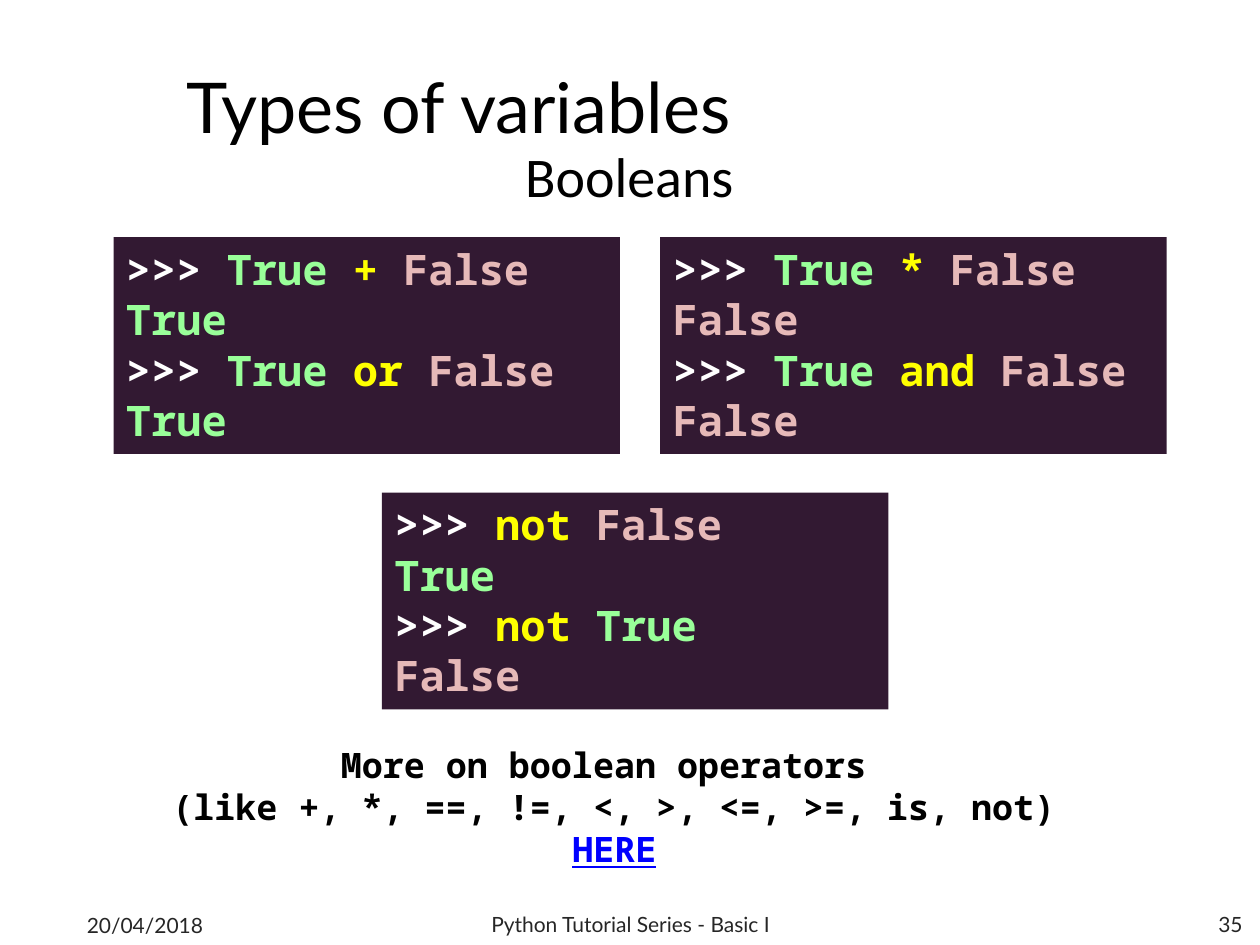
from dataclasses import dataclass

import pptx
import pptx.dml.color
import pptx.enum.shapes
import pptx.enum.text
import pptx.util

Cm = pptx.util.Cm
ALIGN = pptx.enum.text.PP_ALIGN
ANCHOR = pptx.enum.text.MSO_ANCHOR

COLORS = {
    "console": "321932",
    "prompt": "FFFFFF",
    "true": "99FF99",
    "false": "E6B9B8",
    "operator": "FFFF00",
    "text": "000000",
    "footer": "262626",
    "link": "0000FF",
}
TOKEN_COLORS = {">>>": "prompt", "True": "true", "False": "false"}
CODE_FONT = "Noto Sans Mono"
CONSOLE_WIDTH, CONSOLE_HEIGHT = 10.21, 4.37


@dataclass(frozen=True)
class Style:
    font: str
    size: int
    color: str = "text"
    bold: bool = False
    underline: bool = False


@dataclass(frozen=True)
class Console:
    left: float
    top: float
    lines: tuple[str, ...]


@dataclass(frozen=True)
class Label:
    left: float
    top: float
    width: float
    height: float
    lines: tuple[tuple[str, Style], ...]
    align: ALIGN = ALIGN.LEFT
    anchor: ANCHOR = ANCHOR.MIDDLE


TITLE = Style("Lato", 40)
SUBTITLE = Style("Calibri", 32)
FOOTER = Style("Lato", 12, "footer")
NOTE = Style(CODE_FONT, 20, bold=True)
LINK = Style(CODE_FONT, 20, "link", bold=True, underline=True)

CONSOLES = (
    Console(2.29, 4.78, (">>> True + False", "True", ">>> True or False", "True")),
    Console(13.31, 4.78, (">>> True * False", "False", ">>> True and False", "False")),
    Console(7.7, 9.93, (">>> not False", "True", ">>> not True", "False")),
)

LABELS = (
    Label(3.51, 1.12, 20.62, 2.01, (("Types of variables", TITLE),)),
    Label(0.69, 2.72, 24, 2.01, (("Booleans", SUBTITLE),), ALIGN.CENTER, ANCHOR.TOP),
    Label(
        2.29, 14.86, 20.19, 2.82,
        (
            ("More on boolean operators ", NOTE),
            ("(like +, *, ==, !=, <, >, <=, >=, is, not)", NOTE),
            ("HERE", LINK),
        ),
        ALIGN.CENTER, ANCHOR.TOP,
    ),
    Label(1.5, 18.14, 5.92, 1.02, (("20/04/2018", FOOTER),)),
    Label(8.69, 18.11, 8.05, 1.02, (("Python Tutorial Series - Basic I", FOOTER),), ALIGN.CENTER),
    Label(19.38, 18.11, 5.92, 1.02, (("35", FOOTER),), ALIGN.RIGHT),
)


def rgb(name: str) -> pptx.dml.color.RGBColor:
    return pptx.dml.color.RGBColor.from_string(COLORS[name])


def add_run(paragraph, text: str, style: Style) -> None:
    run = paragraph.add_run()
    run.text = text
    run.font.name = style.font
    run.font.size = pptx.util.Pt(style.size)
    run.font.bold = style.bold
    run.font.underline = style.underline
    run.font.color.rgb = rgb(style.color)


def add_paragraph(frame, index: int, align: ALIGN):
    paragraph = frame.add_paragraph() if index else frame.paragraphs[0]
    paragraph.alignment = align
    return paragraph


def draw_console(slide, console: Console) -> None:
    window = slide.shapes.add_shape(
        pptx.enum.shapes.MSO_SHAPE.RECTANGLE,
        Cm(console.left), Cm(console.top), Cm(CONSOLE_WIDTH), Cm(CONSOLE_HEIGHT),
    )
    window.shadow.inherit = False
    window.fill.solid()
    window.fill.fore_color.rgb = rgb("console")
    window.line.fill.background()
    frame = window.text_frame
    frame.word_wrap = True
    frame.vertical_anchor = ANCHOR.TOP
    for index, line in enumerate(console.lines):
        paragraph = add_paragraph(frame, index, ALIGN.LEFT)
        tokens = line.split()
        for position, token in enumerate(tokens, start=1):
            gap = " " if position < len(tokens) else ""
            color = TOKEN_COLORS.get(token, "operator")
            add_run(paragraph, token + gap, Style(CODE_FONT, 24, color, bold=True))


def draw_label(slide, label: Label) -> None:
    frame = slide.shapes.add_textbox(
        Cm(label.left), Cm(label.top), Cm(label.width), Cm(label.height)
    ).text_frame
    frame.word_wrap = True
    frame.vertical_anchor = label.anchor
    for index, (text, style) in enumerate(label.lines):
        add_run(add_paragraph(frame, index, label.align), text, style)


def main() -> None:
    presentation = pptx.Presentation()
    presentation.slide_width = Cm(25.4)
    presentation.slide_height = Cm(19.05)
    slide = presentation.slides.add_slide(presentation.slide_layouts[6])
    for console in CONSOLES:
        draw_console(slide, console)
    for label in LABELS:
        draw_label(slide, label)
    presentation.save("out.pptx")


if __name__ == "__main__":
    main()
